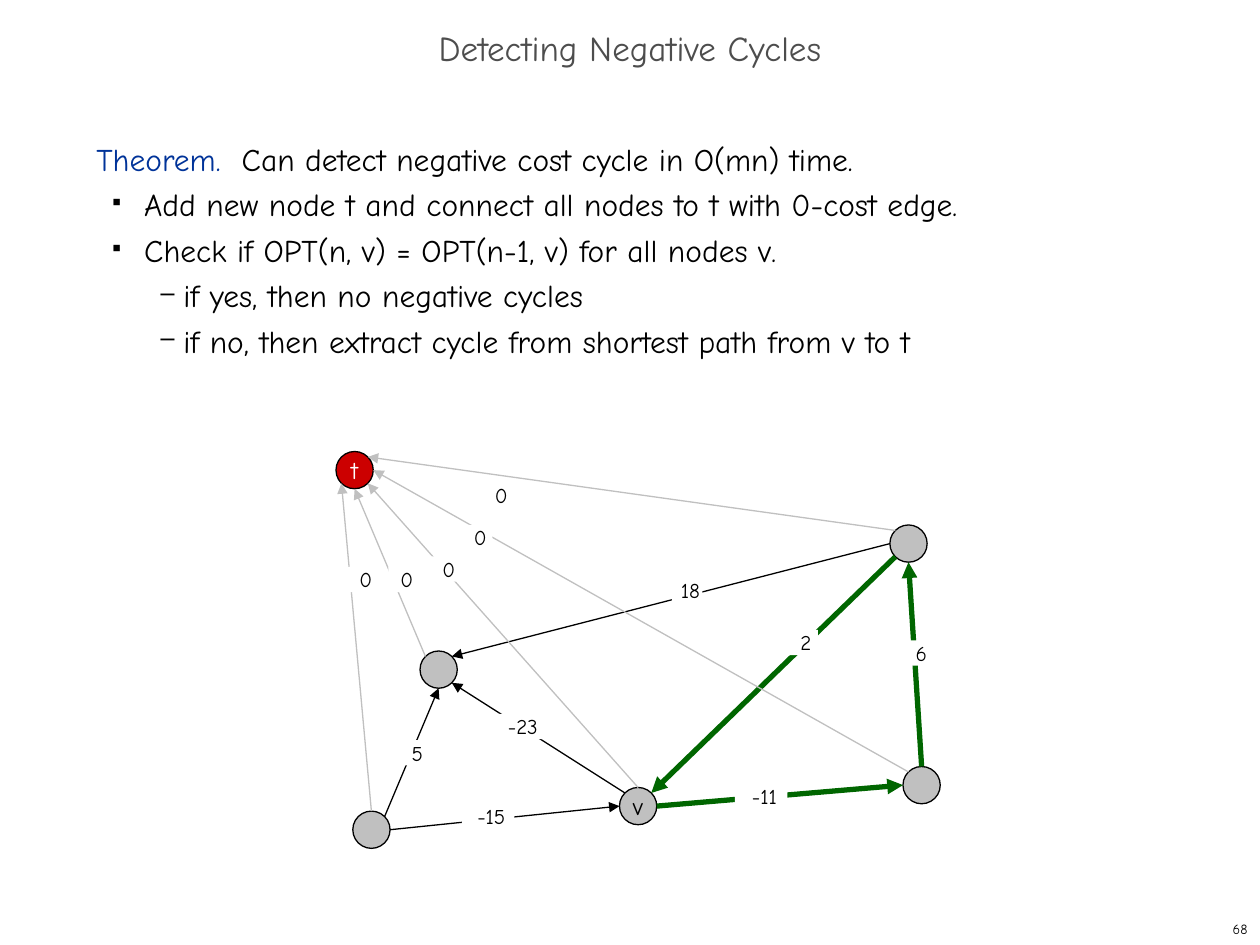
import math
import pptx
import pptx.util
import pptx.dml.color
import pptx.enum.shapes
import pptx.enum.text
import pptx.oxml
import pptx.oxml.ns
import lxml.etree

RGB = pptx.dml.color.RGBColor
BLACK = RGB(0x00, 0x00, 0x00)
WHITE = RGB(0xFF, 0xFF, 0xFF)
GRAY = RGB(0xC0, 0xC0, 0xC0)
DARK_GRAY = RGB(0x4D, 0x4D, 0x4D)
RED = RGB(0xCC, 0x00, 0x00)
GREEN = RGB(0x00, 0x66, 0x00)
BLUE = RGB(0x00, 0x33, 0x99)
FONT = "Comic Neue"
SHAPE = pptx.enum.shapes.MSO_SHAPE
ALIGN = pptx.enum.text.PP_ALIGN
MIDDLE = pptx.enum.text.MSO_ANCHOR.MIDDLE
Pt = pptx.util.Pt

prs = pptx.Presentation()
prs.slide_width = pptx.util.Inches(10)
prs.slide_height = pptx.util.Inches(7.5)
CELL = prs.slide_width / 120
s = prs.slides.add_slide(prs.slide_layouts[5])


def grid(*cells):
    return [round(c * CELL) for c in cells]


def write(p, text, size=18, color=BLACK, align=None):
    r = p.add_run()
    r.text = text
    r.font.name = FONT
    r.font.size = Pt(size)
    r.font.color.rgb = color
    if align is not None:
        p.alignment = align


title = s.shapes.title
title.left, title.top, title.width, title.height = grid(0, 2, 120, 6)
tf = title.text_frame
tf.auto_size = pptx.enum.text.MSO_AUTO_SIZE.NONE
tf.vertical_anchor = MIDDLE
tf.paragraphs[0].line_spacing = 0.7
write(tf.paragraphs[0], "Detecting Negative Cycles", size=20, color=DARK_GRAY, align=ALIGN.CENTER)

tf = s.shapes.add_textbox(*grid(95, 87, 25, 3)).text_frame
tf.vertical_anchor = MIDDLE
write(tf.paragraphs[0], "68", size=8, align=ALIGN.RIGHT)
tf.word_wrap = True

tf = s.shapes.add_textbox(*grid(8, 12, 103, 71)).text_frame
tf.word_wrap = True
p = tf.paragraphs[0]
p.line_spacing = Pt(26)
write(p, "Theorem.  ", color=BLUE)
write(p, "Can detect negative cost cycle in O(mn) time.")
BULLETS = {1: ("■", 35, 0.38, -0.25), 2: ("–", 80, 0.69, -0.18)}
for level, text in [
    (1, "Add new node t and connect all nodes to t with 0-cost edge."),
    (1, "Check if OPT(n, v) = OPT(n-1, v) for all nodes v."),
    (2, "if yes, then no negative cycles"),
    (2, "if no, then extract cycle from shortest path from v to t"),
]:
    p = tf.add_paragraph()
    p.level = level
    p.line_spacing = Pt(26)
    write(p, text)
    char, percent, margin, indent = BULLETS[level]
    pPr = p._p.get_or_add_pPr()
    pPr.set("marL", str(pptx.util.Inches(margin)))
    pPr.set("indent", str(pptx.util.Inches(indent)))
    clr = lxml.etree.SubElement(pPr, pptx.oxml.ns.qn("a:buClr"))
    lxml.etree.SubElement(clr, pptx.oxml.ns.qn("a:srgbClr"), val=str(BLACK))
    lxml.etree.SubElement(pPr, pptx.oxml.ns.qn("a:buSzPct"), val=str(percent * 1000))
    lxml.etree.SubElement(pPr, pptx.oxml.ns.qn("a:buChar"), char=char)

NODE = 3.55
NODES = {
    "upper right": (84.75, 50, GRAY, "", BLACK),
    "middle": (40, 62, GRAY, "", BLACK),
    "lower left": (33.6, 77.25, GRAY, "", BLACK),
    "lower right": (86, 73, GRAY, "", BLACK),
    "v": (59, 75, GRAY, "v", BLACK),
    "t": (32, 43, RED, "t", WHITE),
}
for x, y, fill, name, color in NODES.values():
    sp = s.shapes.add_shape(SHAPE.OVAL, *grid(x, y, NODE, NODE))
    sp.shadow.inherit = False
    sp.fill.solid()
    sp.fill.fore_color.rgb = fill
    sp.line.color.rgb = BLACK
    sp.line.width = Pt(0.75)
    if name:
        sp.text_frame.word_wrap = False
        sp.text_frame.vertical_anchor = MIDDLE
        write(sp.text_frame.paragraphs[0], name, size=14, color=color, align=ALIGN.CENTER)

SIDES = {side: math.radians(45 * i)
         for i, side in enumerate(["E", "SE", "S", "SW", "W", "NW", "N", "NE"])}
COST_EDGES = [
    ("upper right", "W", "middle", "NE", BLACK, 0.75),
    ("lower right", "N", "upper right", "S", GREEN, 3),
    ("v", "NW", "middle", "SE", BLACK, 0.75),
    ("v", "E", "lower right", "W", GREEN, 3),
    ("upper right", "SW", "v", "NE", GREEN, 3),
    ("lower left", "NE", "middle", "S", BLACK, 0.75),
    ("lower left", "E", "v", "W", BLACK, 0.75),
]
COST_LABELS = [
    ("18", 64, 55), ("2", 75, 60), ("5", 38, 70.5), ("-23", 47, 68),
    ("-15", 44, 76.5), ("-11", 70, 74.6), ("6", 86, 61),
]
ZERO_EDGES = [
    (node, side, "t", target_side, GRAY, 0.75)
    for node, side, target_side in [
        ("upper right", "NW", "NE"), ("middle", "NW", "S"), ("lower left", "N", "SW"),
        ("lower right", "NW", "E"), ("v", "N", "SE"),
    ]
]
ZERO_LABELS = [("0", x, y) for x, y in [(33.1, 54), (46, 46), (37, 54), (41, 53), (44, 50)]]

for edges, labels in [(COST_EDGES, COST_LABELS), (ZERO_EDGES, ZERO_LABELS)]:
    for source, source_side, target, target_side, color, width in edges:
        ends = []
        for node, side in [(source, source_side), (target, target_side)]:
            x, y = NODES[node][:2]
            ends += [x + NODE / 2 * (1 + math.cos(SIDES[side])),
                     y + NODE / 2 * (1 + math.sin(SIDES[side]))]
        edge = s.shapes.add_connector(pptx.enum.shapes.MSO_CONNECTOR.STRAIGHT, *grid(*ends))
        edge.line.color.rgb = color
        edge.line.width = Pt(width)
        lxml.etree.SubElement(edge.line._get_or_add_ln(), pptx.oxml.ns.qn("a:tailEnd"), type="triangle")
        lxml.etree.SubElement(edge._element.spPr, pptx.oxml.ns.qn("a:effectLst"))
    for cost, x, y in labels:
        sp = s.shapes.add_shape(SHAPE.RECTANGLE, *grid(x, y, 5 if len(cost) == 3 else 2.9, 2.4))
        sp.shadow.inherit = False
        sp.fill.solid()
        sp.fill.fore_color.rgb = WHITE
        sp.line.fill.background()
        tf = sp.text_frame
        tf.margin_left = pptx.util.Inches(0.05)
        tf.margin_top = tf.margin_right = tf.margin_bottom = 0
        tf.vertical_anchor = pptx.enum.text.MSO_ANCHOR.TOP
        write(tf.paragraphs[0], cost, size=12, align=ALIGN.CENTER)

prs.save("out.pptx")
